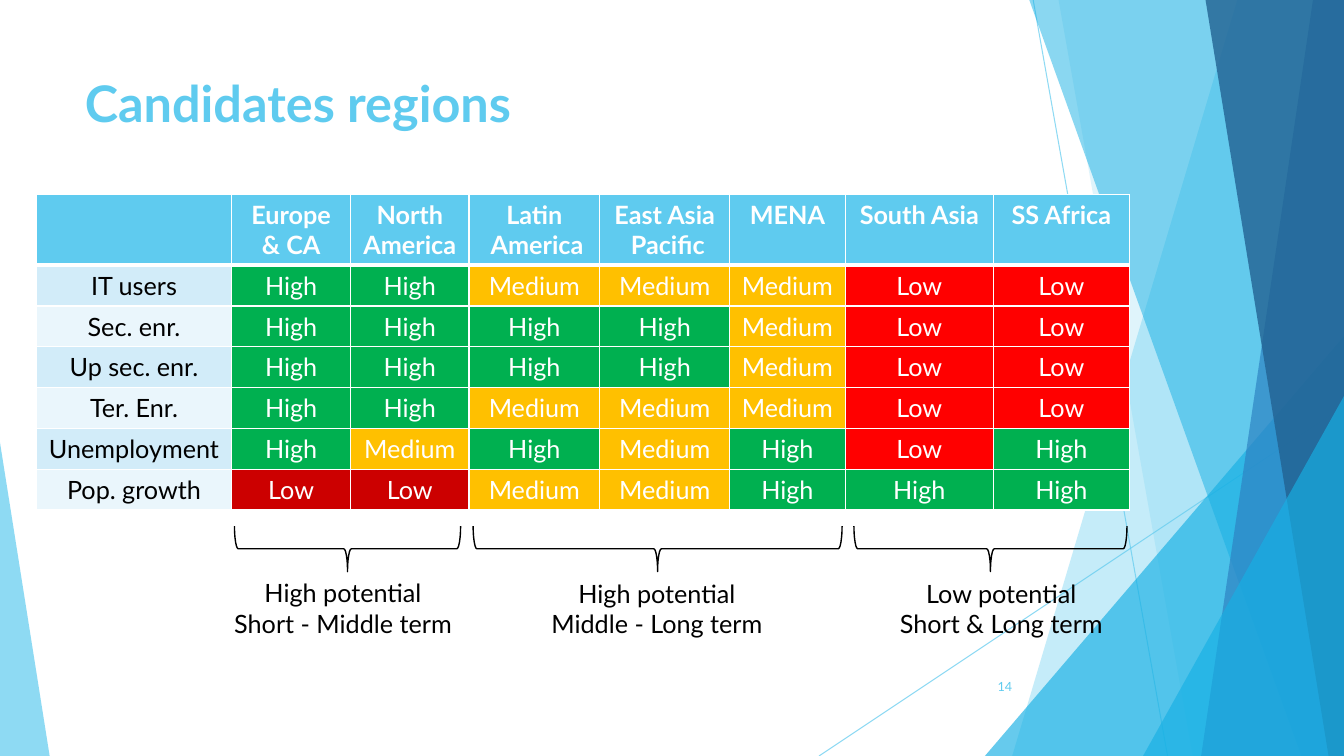
"""Build the slide that rates candidate regions by indicator."""
from lxml import etree
from pptx import Presentation
from pptx.dml.color import RGBColor
from pptx.enum import shapes, text
from pptx.oxml.ns import qn
from pptx.util import Pt

FONT = "Lato"
COLORS = {
    "sky": "5FCBEF", "cyan": "17B0E4", "blue": "2E83C3", "navy": "226292",
    "white": "FFFFFF", "black": "000000", "band": "D2ECF9", "pale": "EAF6FC",
    "High": "00B050", "Medium": "FFC000", "Low": "FF0000", "Declining": "CC0000",
}
WIDTH, HEIGHT = 960, 540
REGIONS = ["Europe & CA", "North America", "Latin\n America", "East Asia\n Pacific",
           "MENA", "South Asia", "SS Africa"]
LEVELS = {"H": "High", "M": "Medium", "L": "Low"}
INDICATORS = [("IT users", "HHMMMLL"), ("Sec. enr.", "HHHHMLL"),
              ("Up sec. enr.", "HHHHMLL"), ("Ter. Enr.", "HHMMMLL"),
              ("Unemployment", "HMHMHLH"), ("Pop. growth", "LLMMHHH")]
COLUMN_WIDTHS = [139.5, 85, 84.5, 93.5, 92.75, 82.5, 106, 97]
HEADER_HEIGHT, ROW_HEIGHT = 50.5, 29.15


def rgb(name):
    """Return the named colour."""
    return RGBColor.from_string(COLORS[name])


def set_alpha(s, percent):
    """Set the opacity of every colour in a shape."""
    for color in s.element.spPr.iter(qn("a:srgbClr")):
        etree.SubElement(color, qn("a:alpha"), val=str(percent * 1000))


def format_text(tf, size, color, bold=False, align=text.PP_ALIGN.CENTER):
    """Format all paragraphs and runs of a text frame."""
    for p in tf.paragraphs:
        p.alignment = align
        for r in p.runs:
            r.font.name, r.font.size, r.font.bold = FONT, Pt(size), bold
            r.font.color.rgb = rgb(color)


def add_label(slide, box, words, size, color, wrap=True,
              anchor=text.MSO_ANCHOR.TOP, **style):
    """Add a text box."""
    tf = slide.shapes.add_textbox(*map(Pt, box)).text_frame
    tf.word_wrap, tf.vertical_anchor = wrap, anchor
    tf.text = words
    format_text(tf, size, color, **style)


def add_ray(slide, start, end):
    """Add a thin translucent background line."""
    s = slide.shapes.add_connector(shapes.MSO_CONNECTOR.STRAIGHT, *map(Pt, start + end))
    s.line.color.rgb, s.line.width = rgb("sky"), Pt(0.75)
    set_alpha(s, 70)
    etree.SubElement(s.element.spPr, qn("a:effectLst"))


def paint(s, color, alpha):
    """Give a background shape a translucent fill and no outline."""
    s.shadow.inherit = False
    s.fill.solid()
    s.fill.fore_color.rgb = rgb(color)
    s.line.fill.background()
    set_alpha(s, alpha)


def add_panel(slide, top_x, bottom_x, color, alpha):
    """Add a full-height panel with a slanted left side."""
    builder = slide.shapes.build_freeform(Pt(top_x), Pt(-0.7))
    corners = [(WIDTH, -0.7), (WIDTH, HEIGHT), (bottom_x, HEIGHT)]
    builder.add_line_segments([(Pt(x), Pt(y)) for x, y in corners])
    paint(builder.convert_to_shape(), color, alpha)


def add_wedge(slide, left, top, width, apex, color, alpha):
    """Add a right-angled triangle that stands on the bottom edge."""
    s = slide.shapes.add_shape(shapes.MSO_SHAPE.ISOSCELES_TRIANGLE,
                               *map(Pt, (left, top, width, HEIGHT - top)))
    s.adjustments[0] = apex
    paint(s, color, alpha)


def add_background(slide):
    """Add the faceted decoration at both sides."""
    add_ray(slide, (738, 0), (834, HEIGHT))
    add_ray(slide, (WIDTH, 290), (585, HEIGHT))
    add_panel(slide, 884, 723, "sky", 36)
    add_panel(slide, 756, 852, "sky", 20)
    add_wedge(slide, 703.5, 240, 256.5, 1, "cyan", 66)
    add_panel(slide, 735, 929.5, "cyan", 50)
    add_panel(slide, 938, 858, "blue", 70)
    add_panel(slide, 861, 949, "navy", 80)
    add_wedge(slide, 816.5, 283, 143.5, 1, "cyan", 66)
    add_wedge(slide, 0, 316, 35.5, 0, "sky", 70)


def set_borders(cell, top, bottom):
    """Draw white borders round a table cell."""
    tc_pr = cell._tc.get_or_add_tcPr()
    for side, width in (("L", 1), ("R", 1), ("T", top), ("B", bottom)):
        ln = etree.SubElement(tc_pr, qn(f"a:ln{side}"), w=str(Pt(width)))
        fill = etree.SubElement(ln, qn("a:solidFill"))
        etree.SubElement(fill, qn("a:srgbClr"), val=COLORS["white"])


def fill_cell(cell, row, words, fill, color="white"):
    """Fill in one table cell."""
    set_borders(cell, 3 if row == 1 else 1, 3 if row == 0 else 1)
    cell.fill.solid()
    cell.fill.fore_color.rgb = rgb(fill)
    cell.text_frame.text = words
    format_text(cell.text_frame, 18, color, bold=row == 0)


def add_ratings(slide):
    """Add the table of ratings by indicator and region."""
    height = HEADER_HEIGHT + ROW_HEIGHT * len(INDICATORS)
    frame = slide.shapes.add_table(len(INDICATORS) + 1, len(COLUMN_WIDTHS),
                                   *map(Pt, (26, 139, sum(COLUMN_WIDTHS), height)))
    table = frame.table
    table.horz_banding = False
    for column, width in zip(table.columns, COLUMN_WIDTHS):
        column.width = Pt(width)
    for i, row in enumerate(table.rows):
        row.height = Pt(ROW_HEIGHT if i else HEADER_HEIGHT)
    for j, region in enumerate(["", *REGIONS]):
        fill_cell(table.cell(0, j), 0, region, "sky")
    for i, (indicator, ratings) in enumerate(INDICATORS, 1):
        fill_cell(table.cell(i, 0), i, indicator, "band" if i % 2 else "pale", "black")
        for j, key in enumerate(ratings, 1):
            level = LEVELS[key]
            declining = indicator == "Pop. growth" and level == "Low"
            fill_cell(table.cell(i, j), i, level, "Declining" if declining else level)


def add_group(slide, left, span, label_left, label_top, label_width, words):
    """Add a brace under some columns with its label below."""
    depth, middle = 32.5, 392
    s = slide.shapes.add_shape(shapes.MSO_SHAPE.LEFT_BRACE, Pt(left + (span - depth) / 2),
                               Pt(middle - span / 2), Pt(depth), Pt(span))
    s.rotation = 270
    s.shadow.inherit = False
    s.fill.background()
    s.line.color.rgb, s.line.width = rgb("black"), Pt(1)
    add_label(slide, (label_left, label_top, label_width, 51), words, 18, "black", wrap=False)


def main():
    """Build and save the slide."""
    prs = Presentation()
    prs.slide_width, prs.slide_height = Pt(WIDTH), Pt(HEIGHT)
    slide = prs.slides.add_slide(prs.slide_layouts[6])
    add_background(slide)
    add_label(slide, (53.5, 48, 677, 58), "Candidates regions", 36, "sky",
              bold=True, align=text.PP_ALIGN.LEFT)
    add_label(slide, (676, 476, 54, 29), "14", 9, "sky",
              anchor=text.MSO_ANCHOR.MIDDLE, align=text.PP_ALIGN.RIGHT)
    add_ratings(slide)
    add_group(slide, 167.5, 161.5, 158.5, 409, 173, "High potential\nShort - Middle term")
    add_group(slide, 338, 263.5, 385, 409.5, 168.5, "High potential\nMiddle - Long term")
    add_group(slide, 610, 195, 633.5, 409.5, 163.5, "Low potential\nShort & Long term")
    prs.save("out.pptx")


if __name__ == "__main__":
    main()
